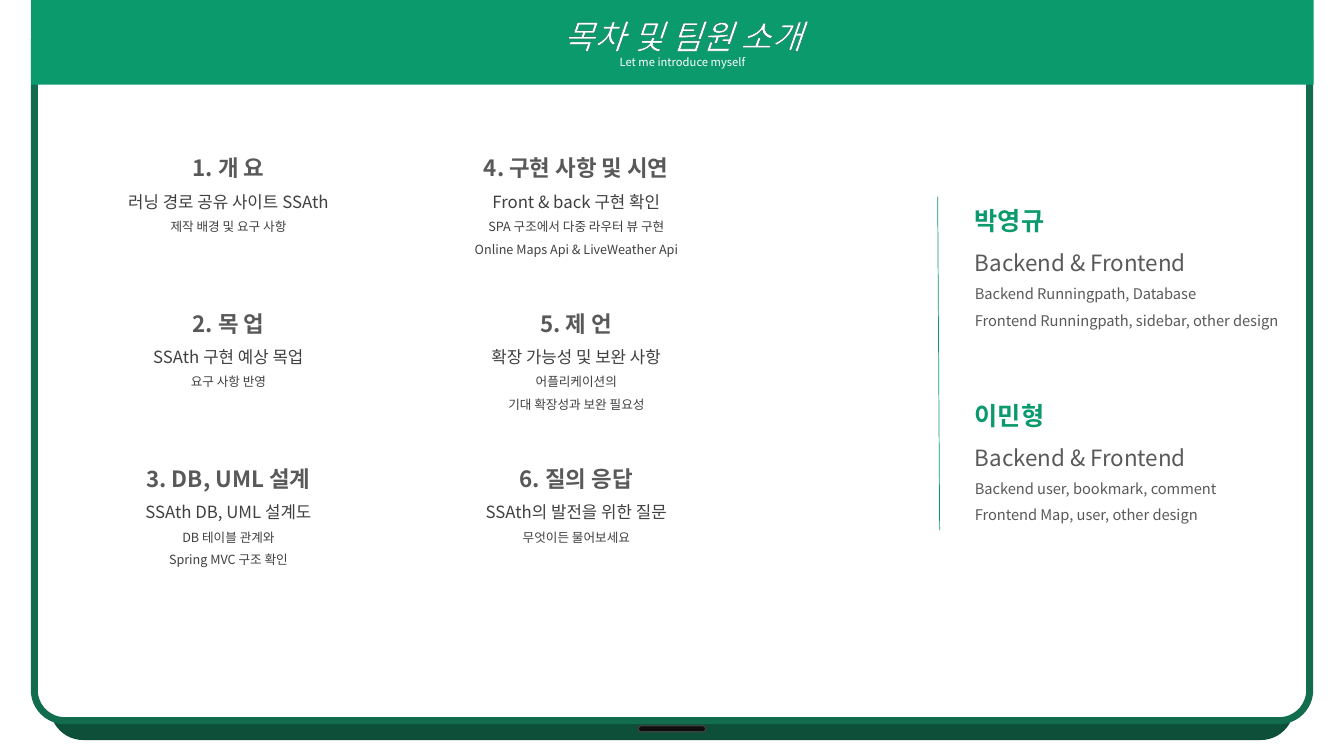
"""Build the contents and team slide."""
from lxml import etree
from pptx import Presentation
from pptx.dml.color import RGBColor as RGB
from pptx.enum.shapes import MSO_CONNECTOR as LINK, MSO_SHAPE as SHAPE
from pptx.enum.text import MSO_ANCHOR as ANCHOR, MSO_AUTO_SIZE as AUTO, PP_ALIGN as ALIGN
from pptx.oxml import parse_xml
from pptx.oxml.ns import nsdecls, qn
from pptx.util import Inches, Pt

THEME = {
    "font": "Noto Sans CJK KR",
    "green": "0B9A6C", "edge": "126D4E", "shade": "0D4F39",
    "white": "FFFFFF", "black": "0D0D0D", "dark": "404040", "gray": "595959",
    "banner": [(24, "white", False), (8, "white", False)],
    "topic": [(16, "gray", True), (12, "dark", False), (9, "dark", False), (9, "dark", False)],
    "member": [(18, "green", True), (16, "gray", False), (10.5, "gray", False), (10.5, "gray", False)],
}


def write(frame, lines, style, align, gap):
    frame.word_wrap = True
    frame.text = "\n".join(lines)
    for para, (size, color, bold) in zip(frame.paragraphs, THEME[style]):
        para.alignment = align
        para.line_spacing = gap
        font = para.runs[0].font
        font.size = Pt(size)
        font.bold = bold
        font.color.rgb = RGB.from_string(THEME[color])
        font.name = THEME["font"]
        east = etree.SubElement(para.runs[0]._r.rPr, qn("a:ea"))
        east.set("typeface", THEME["font"])


def draw(kind, box, fill, line=None, width=0):
    shape = slide.shapes.add_shape(kind, *map(Inches, box))
    shape.shadow.inherit = False
    shape.fill.solid()
    shape.fill.fore_color.rgb = RGB.from_string(THEME[fill])
    if line:
        shape.line.color.rgb = RGB.from_string(THEME[line])
        shape.line.width = Pt(width)
    else:
        shape.line.fill.background()
    return shape


deck = Presentation()
deck.slide_width, deck.slide_height = Inches(13.33), Inches(7.5)
slide = deck.slides.add_slide(deck.slide_layouts[6])

panel = draw(SHAPE.ROUND_2_SAME_RECTANGLE, (0.34, 0.39, 12.65, 6.76), "white", "edge", 5)
panel.adjustments[0], panel.adjustments[1] = 0, 0.045
panel._element.spPr.find(qn("a:effectLst")).append(parse_xml(
    f'<a:outerShdw {nsdecls("a")} blurRad="0" dist="{Pt(26)}" dir="5400000" sx="97000" sy="97000" '
    f'algn="t" rotWithShape="0"><a:srgbClr val="{THEME["shade"]}"/></a:outerShdw>'))

banner = draw(SHAPE.RECTANGLE, (0.31, 0, 12.72, 0.84), "green")
frame = banner.text_frame
frame.vertical_anchor = ANCHOR.MIDDLE
write(frame, ["목차 및 팀원 소개", "Let me introduce myself"], "banner", ALIGN.CENTER, 1)
for para in frame.paragraphs:
    para._p.get_or_add_pPr().set("marL", str(Inches(0.2)))
title = frame.paragraphs[0].runs[0]
title.font.italic = True
title._r.rPr.insert(0, parse_xml(
    f'<a:ln {nsdecls("a")} w="{Pt(1)}"><a:solidFill><a:srgbClr val="{THEME["edge"]}"/></a:solidFill></a:ln>'))

handle = draw(SHAPE.ROUNDED_RECTANGLE, (6.33, 7.2, 0.67, 0.06), "black", "dark", 1)
handle.adjustments[0] = 0.5

members = [
    ["박영규", "Backend & Frontend", "Backend Runningpath, Database",
     "Frontend Runningpath, sidebar, other design"],
    ["이민형", "Backend & Frontend", "Backend user, bookmark, comment",
     "Frontend Map, user, other design"],
]
topics = [
    ["1. 개 요", "러닝 경로 공유 사이트 SSAth", "제작 배경 및 요구 사항"],
    ["2. 목 업", "SSAth 구현 예상 목업", "요구 사항 반영"],
    ["3. DB, UML 설계", "SSAth DB, UML 설계도", "DB 테이블 관계와", "Spring MVC 구조 확인"],
    ["4. 구현 사항 및 시연", "Front & back 구현 확인", "SPA 구조에서 다중 라우터 뷰 구현",
     "Online Maps Api & LiveWeather Api"],
    ["5. 제 언", "확장 가능성 및 보완 사항", "어플리케이션의", "기대 확장성과 보완 필요성"],
    ["6. 질의 응답", "SSAth의 발전을 위한 질문", "무엇이든 물어보세요"],
]
cells = [(9.57, 1.84 + 1.93 * row, 3.24, 1.49, lines, "member", ALIGN.LEFT)
         for row, lines in enumerate(members)]
cells += [(0.99 + 3.45 * (spot // 3), 1.35 + 1.54 * (spot % 3), 2.55, 0.38 + 0.22 * len(lines),
           lines, "topic", ALIGN.CENTER) for spot, lines in enumerate(topics)]
for left, top, width, height, lines, style, align in cells:
    box = slide.shapes.add_textbox(*map(Inches, (left, top, width, height)))
    write(box.text_frame, lines, style, align, 1.5)
    box.text_frame.auto_size = AUTO.SHAPE_TO_FIT_TEXT

rule = slide.shapes.add_connector(LINK.STRAIGHT, *map(Inches, (9.3, 1.95, 9.32, 5.26)))
rule.line.color.rgb = RGB.from_string(THEME["green"])
rule.line.width = Pt(0.5)
etree.SubElement(rule._element.spPr, qn("a:effectLst"))

deck.save("out.pptx")
